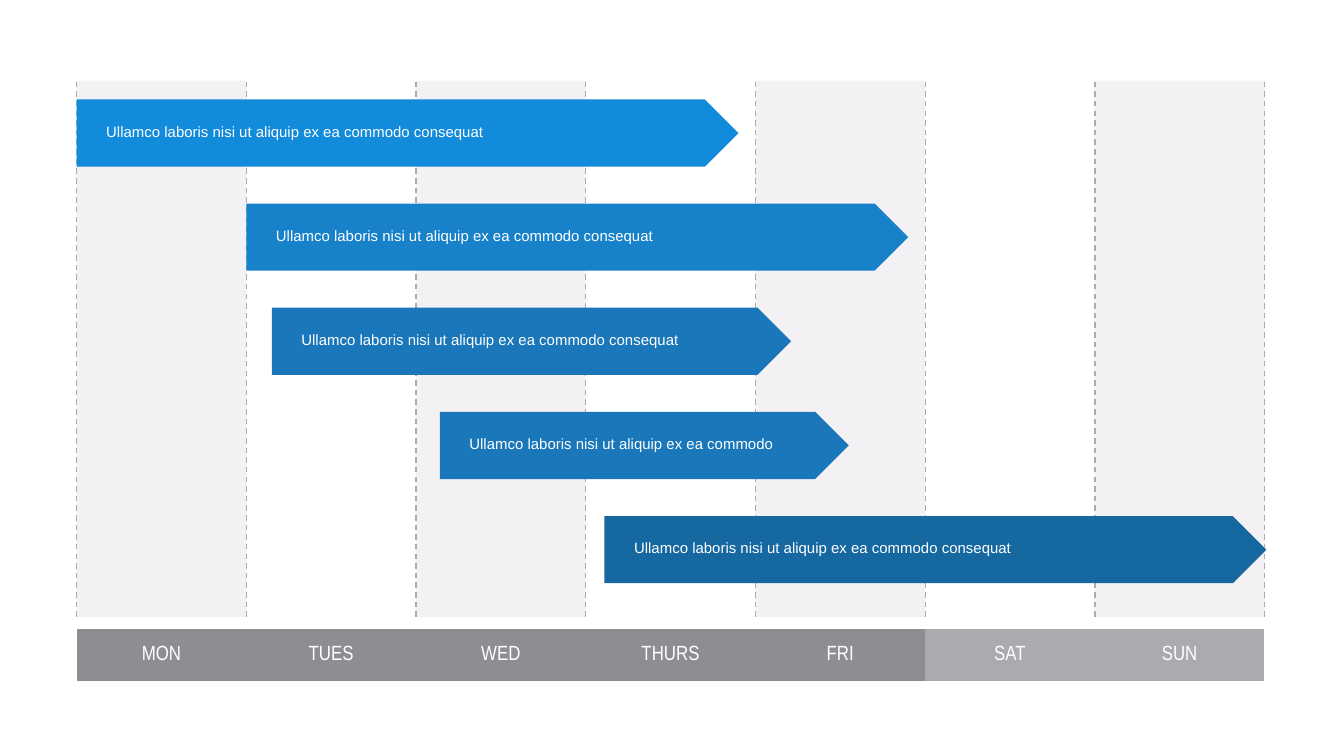
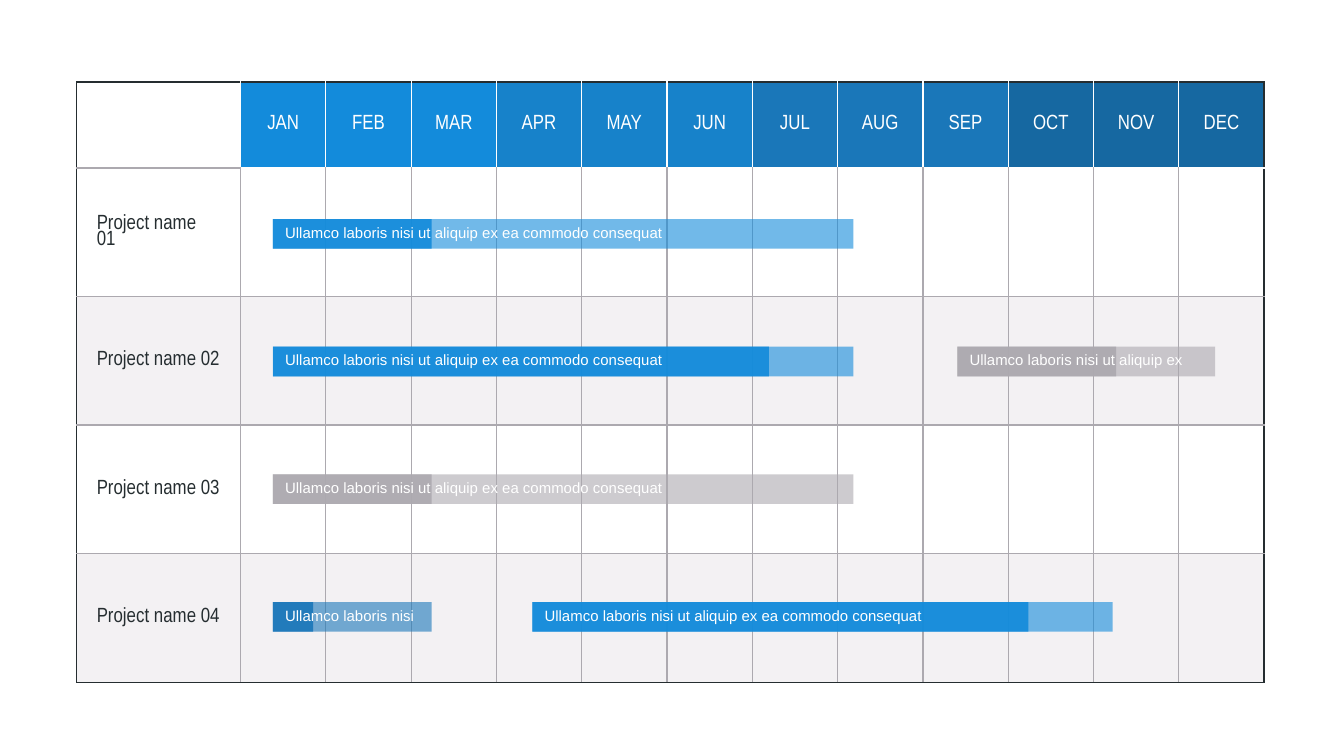
from dataclasses import dataclass
from typing import Any, Optional

from lxml.etree import SubElement
from pptx import Presentation
from pptx.dml.color import RGBColor as Rgb
from pptx.enum.dml import MSO_LINE as Dash
from pptx.enum.shapes import MSO_CONNECTOR as Link, MSO_SHAPE as Form
from pptx.enum.text import MSO_ANCHOR as Anchor, PP_ALIGN as Align
from pptx.oxml.ns import qn
from pptx.util import Inches, Pt

HUES = {
    "white": "FFFFFF", "ink": "252D30", "band": "E8E5E9",
    "gray": "ACA9AF", "steel": "8C8E91",
    "sky": "138BDB", "azure": "1782CA", "blue": "1A77B9", "navy": "1668A1",
}
BLUES = ("sky", "azure", "blue", "navy")
DAYS = ("MON", "TUES", "WED", "THURS", "FRI", "SAT", "SUN")
MONTHS = ("JAN", "FEB", "MAR", "APR", "MAY", "JUN",
          "JUL", "AUG", "SEP", "OCT", "NOV", "DEC")
NAMES = ("Project name\n01", "Project name 02", "Project name 03", "Project name 04")
SHORT = "Ullamco laboris nisi"
MID = f"{SHORT} ut aliquip ex"
LONG = f"{MID} ea commodo"
FULL = f"{LONG} consequat"

LEFT, WIDTH = 0.57, 8.84
HEAD, SIDE = 0.64, 1.22
LABEL = 3.11
PLAIN = "{2D5ABB26-0587-4C30-8999-92F81FD0307C}"


@dataclass(frozen=True)
class Grid:
    left: float
    top: float
    col: float
    row: float

    def x(self, cols: float) -> float:
        return self.left + cols * self.col

    def y(self, rows: float) -> float:
        return self.top + rows * self.row


@dataclass(frozen=True)
class Task:
    row: int
    start: float
    span: float
    hue: str
    text: str = FULL
    done: float = 0


WEEK = Grid(LEFT, 0.6, WIDTH / len(DAYS), 3.99)
STEPS = Grid(LEFT, 0.74, WEEK.col, 0.775)
YEAR = Grid(LEFT + SIDE, 1.63, (WIDTH - SIDE) / len(MONTHS), 0.95)

ARROWS = (
    Task(0, 0, 3.9, "sky"),
    Task(1, 1, 3.9, "azure"),
    Task(2, 1.15, 3.06, "blue"),
    Task(3, 2.14, 2.41, "blue", LONG),
    Task(4, 3.11, 3.9, "navy"),
)
BARS = (
    Task(0, 0.38, 6.8, "sky", done=1.86),
    Task(3, 0.38, 1.86, "blue", SHORT, 0.47),
    Task(1, 0.38, 6.8, "sky", done=5.81),
    Task(2, 0.38, 6.8, "gray", done=1.86),
    Task(3, 3.42, 6.8, "sky", done=5.81),
    Task(1, 8.4, 3.02, "gray", MID, 1.86),
)


def tint(name: str) -> Rgb:
    return Rgb.from_string(HUES[name])


def box(*sides: float) -> list[int]:
    return [Inches(side) for side in sides]


def paint(fill: Any, props: Any, hue: str, alpha: int = 100) -> None:
    fill.solid()
    fill.fore_color.rgb = tint(hue)
    if alpha < 100:
        shade = props.find(qn("a:solidFill")).find(qn("a:srgbClr"))
        SubElement(shade, qn("a:alpha"), val=str(alpha * 1000))


def block(parts: Any, form: Any, area: list[int], hue: str, alpha: int = 100) -> None:
    shape = parts.add_shape(form, *area)
    shape.shadow.inherit = False
    shape.line.fill.background()
    paint(shape.fill, shape.element.spPr, hue, alpha)


def inset(item: Any, left: float = 0.04) -> None:
    item.margin_left, item.margin_right = box(left, 0.04)
    item.margin_top = item.margin_bottom = Inches(0.02)


def style(para: Any, face: str, size: int, hue: str) -> None:
    para.font.name = face
    para.font.size = Pt(size)
    para.font.color.rgb = tint(hue)


def label(parts: Any, x: float, y: float, width: float, text: str) -> None:
    frame = parts.add_textbox(*box(x, y, width, 0.18)).text_frame
    frame.word_wrap = True
    inset(frame)
    frame.text = text
    style(frame.paragraphs[0], "Arial", 8, "white")


def table(parts: Any, top: float, cols: list[float], rows: list[float]) -> Any:
    area = box(LEFT, top, sum(cols), sum(rows))
    grid = parts.add_table(len(rows), len(cols), *area).table
    grid.first_row = grid.horz_banding = False
    grid._tbl.tblPr.find(qn("a:tableStyleId")).text = PLAIN
    for col, width in zip(grid.columns, cols):
        col.width = Inches(width)
    for row, height in zip(grid.rows, rows):
        row.height = Inches(height)
    return grid


def edge(cell: Any, **lines: str) -> None:
    props = cell._tc.get_or_add_tcPr()
    for side, hue in lines.items():
        line = SubElement(props, qn(f"a:ln{side}"), w=str(Pt(0.75)))
        solid = SubElement(line, qn("a:solidFill"))
        SubElement(solid, qn("a:srgbClr"), val=HUES[hue])


def write(cell: Any, text: str, hue: str, left: float = 0.04,
          align: Optional[Align] = Align.CENTER) -> None:
    cell.vertical_anchor = Anchor.MIDDLE
    inset(cell, left)
    cell.text_frame.text = text
    for para in cell.text_frame.paragraphs:
        para.alignment = align
        para.line_spacing = 0.85
        style(para, "Arial Narrow", 11, hue)


def rule(parts: Any, col: int) -> None:
    x = WEEK.x(col)
    line = parts.add_connector(Link.STRAIGHT, *box(x, WEEK.y(1), x, WEEK.top))
    line.line.color.rgb = tint("gray")
    line.line.width = Pt(0.75)
    line.line.dash_style = Dash.DASH
    SubElement(line.element.spPr, qn("a:effectLst"))


def week(parts: Any) -> None:
    for col in range(0, len(DAYS), 2):
        block(parts, Form.RECTANGLE,
              box(WEEK.x(col), WEEK.top, WEEK.col, WEEK.row), "band", 50)
    days = table(parts, 4.68, [WEEK.col] * len(DAYS), [0.39])
    for col, day in enumerate(DAYS):
        cell = days.cell(0, col)
        write(cell, day, "white")
        paint(cell.fill, cell._tc.tcPr, "steel" if col < 5 else "gray")
    for col in range(len(DAYS) + 1):
        rule(parts, col)
    for task in ARROWS:
        group = parts.add_group_shape().shapes
        x, y = STEPS.x(task.start), STEPS.y(task.row)
        block(group, Form.PENTAGON, box(x, y, task.span * STEPS.col, 0.5), task.hue)
        label(group, x + 0.18, y + 0.15, LABEL, task.text)


def upright(row: int, col: int) -> str:
    if col in (0, len(MONTHS) + 1):
        return "ink"
    return "gray" if row else "white"


def level(row: int, col: int) -> str:
    if row in (0, len(NAMES) + 1):
        return "ink"
    return "white" if row == 1 and col else "gray"


def plan(parts: Any) -> None:
    cols = [SIDE] + [YEAR.col] * len(MONTHS)
    grid = table(parts, 0.61, cols, [HEAD] + [0.957] * len(NAMES))
    for row in range(len(grid.rows)):
        for col in range(len(cols)):
            cell = grid.cell(row, col)
            edge(cell, L=upright(row, col), R=upright(row, col + 1),
                 T=level(row, col), B=level(row + 1, col))
            if row == 0 and col:
                write(cell, MONTHS[col - 1], "white")
                paint(cell.fill, cell._tc.tcPr, BLUES[(col - 1) // 3])
            elif row and row % 2 == 0:
                paint(cell.fill, cell._tc.tcPr, "band", 50)
            else:
                cell.fill.background()
            if row and not col:
                write(cell, NAMES[row - 1], "ink", 0.15, Align.LEFT)


def year(parts: Any) -> None:
    plan(parts)
    for task in BARS:
        group = parts.add_group_shape().shapes
        x, y = YEAR.x(task.start), YEAR.y(task.row)
        for span, alpha in ((task.span, 60), (task.done, 90)):
            block(group, Form.RECTANGLE,
                  box(x, y, span * YEAR.col, 0.22), task.hue, alpha)
        width = min(LABEL, task.span * YEAR.col - 0.05)
        label(group, x + 0.05, y + 0.01, width, task.text)


def main() -> None:
    deck = Presentation()
    deck.slide_width = Inches(10)
    deck.slide_height = deck.slide_width * 9 // 16
    for draw in (week, year):
        draw(deck.slides.add_slide(deck.slide_layouts[6]).shapes)
    deck.save("out.pptx")


if __name__ == "__main__":
    main()
